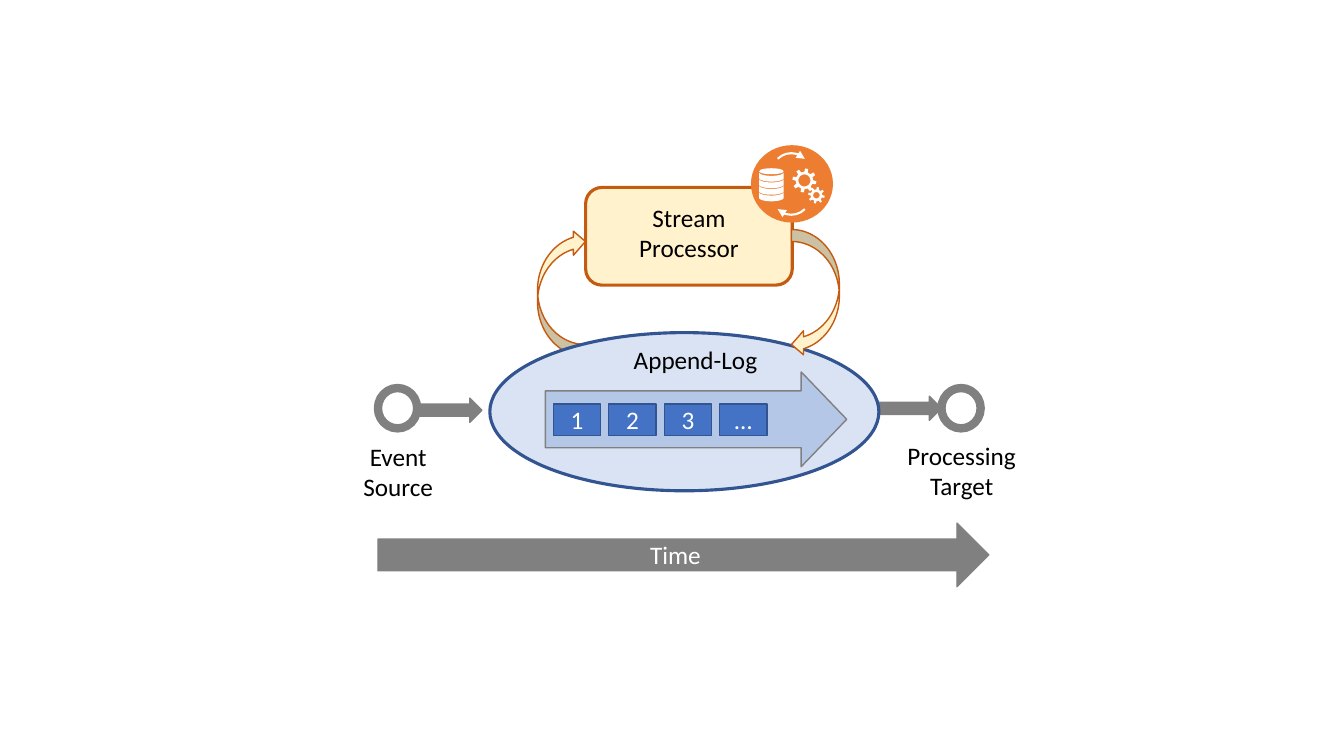
"""Draw a stream processor working on an append-log between a source and a target."""
from dataclasses import dataclass
from math import cos, pi, sin

from lxml import etree
from pptx import Presentation
from pptx.dml.color import RGBColor
from pptx.enum.shapes import MSO_SHAPE
from pptx.enum.text import MSO_ANCHOR, PP_ALIGN
from pptx.oxml.ns import qn
from pptx.util import Pt

ARC = MSO_SHAPE.ARC
BLOCK_ARROW = MSO_SHAPE.RIGHT_ARROW
CURVED_ARROW = MSO_SHAPE.CURVED_DOWN_ARROW
OVAL = MSO_SHAPE.OVAL
RECT = MSO_SHAPE.RECTANGLE
ROUND_RECT = MSO_SHAPE.ROUNDED_RECTANGLE
MIDDLE = MSO_ANCHOR.MIDDLE
CENTER = PP_ALIGN.CENTER
UNITS_PER_POINT = 100


@dataclass(frozen=True)
class Theme:
    """Colours, font and type size of the slide."""
    gray: str = "808080"
    white: str = "FFFFFF"
    black: str = "000000"
    cream: str = "FFF2CC"
    rust: str = "C55A11"
    orange: str = "ED7D31"
    pale_blue: str = "DAE3F3"
    light_blue: str = "B4C7E7"
    blue: str = "4472C4"
    navy: str = "325491"
    font: str = "Calibri"
    size: float = 18


@dataclass(frozen=True)
class Box:
    """Position and size in points."""
    x: float
    y: float
    w: float
    h: float


@dataclass(frozen=True)
class Endpoint:
    """A ring with its flow arrow and label."""
    ring: Box
    arrow: Box
    label: Box
    text: str


@dataclass(frozen=True)
class Gear:
    """Centre and radii of a toothed wheel in points."""
    x: float
    y: float
    outer: float
    root: float
    hole: float


T = Theme()
SOURCE = Endpoint(Box(270, 277.2, 28, 28.8), Box(298.8, 284.4, 45.4, 17.3),
                  Box(241.9, 311.8, 85, 51.1), "Event Source")
TARGET = Endpoint(Box(672.5, 277.2, 28, 28.8), Box(627.1, 283, 45.4, 17.3),
                  Box(635.8, 311, 102.2, 51.1), "Processing Target")
GEARS = (Gear(574.6, 128.9, 8.6, 6.2, 4.3), Gear(583.2, 139.5, 5.9, 4.2, 2.3))
ENTRIES = ("1", "2", "3", "…")


def write(sp, text: str, color: str) -> None:
    """Put centred text into a shape, one paragraph per line."""
    tf = sp.text_frame
    tf.word_wrap = True
    tf.text = text
    for p in tf.paragraphs:
        p.alignment = CENTER
        for r in p.runs:
            r.font.name, r.font.size = T.font, Pt(T.size)
            r.font.color.rgb = RGBColor.from_string(color)


def paint(sp, fill: str | None, line: str | None, width: float) -> None:
    """Set fill and outline and drop the shadow."""
    sp.shadow.inherit = False
    if fill:
        sp.fill.solid()
        sp.fill.fore_color.rgb = RGBColor.from_string(fill)
    else:
        sp.fill.background()
    if line:
        sp.line.color.rgb = RGBColor.from_string(line)
        sp.line.width = Pt(width)
    else:
        sp.line.fill.background()


def add_preset(s, kind, box: Box, *, fill: str | None = None, line: str | None = None,
               width: float = 1, rotation: float = 0, adjust: tuple[float, ...] = (),
               text: str = ""):
    """Add a preset shape with optional white text."""
    sp = s.shapes.add_shape(kind, Pt(box.x), Pt(box.y), Pt(box.w), Pt(box.h))
    paint(sp, fill, line, width)
    sp.rotation = rotation
    for i, value in enumerate(adjust):
        sp.adjustments[i] = value
    if text:
        write(sp, text, T.white)
        sp.text_frame.vertical_anchor = MIDDLE
    return sp


def add_label(s, box: Box, text: str) -> None:
    """Add a black text box."""
    sp = s.shapes.add_textbox(Pt(box.x), Pt(box.y), Pt(box.w), Pt(box.h))
    write(sp, text, T.black)


def add_outline(s, *contours: list[tuple[float, float]]) -> None:
    """Add a white freeform made of closed contours in points."""
    scaled = [[(x * UNITS_PER_POINT, y * UNITS_PER_POINT) for x, y in c] for c in contours]
    builder = s.shapes.build_freeform(*scaled[0][0], scale=Pt(1) / UNITS_PER_POINT)
    for i, points in enumerate(scaled):
        if i:
            builder.move_to(*points[0])
        builder.add_line_segments(points[1:], close=True)
    paint(builder.convert_to_shape(), T.white, None, 0)


def add_gear(s, gear: Gear, teeth: int = 8) -> None:
    """Add a toothed wheel with a round hole."""
    def at(radius: float, turn: float) -> tuple[float, float]:
        """Return the point at a radius and a share of a full turn."""
        return gear.x + radius * cos(2 * pi * turn), gear.y + radius * sin(2 * pi * turn)

    profile = ((-0.27, gear.root), (-0.16, gear.outer), (0.16, gear.outer), (0.27, gear.root))
    rim = [at(radius, (i + shift) / teeth + 0.03)
           for i in range(teeth) for shift, radius in profile]
    add_outline(s, rim, [at(gear.hole, -i / 32) for i in range(32)])


def add_database(s, x: float = 542.2, y: float = 120.2, w: float = 17.6) -> None:
    """Add a cylinder of four curved bands below a lid."""
    add_preset(s, OVAL, Box(x, y, w, 4.3), fill=T.white)
    for band in range(4):
        top = y + 2.9 + 4.7 * band
        arc = [(x + w * (1 - cos(pi * i / 16)) / 2, 2.5 * sin(pi * i / 16)) for i in range(17)]
        add_outline(s, [(px, top + sag) for px, sag in arc]
                    + [(px, top + 4.1 + sag) for px, sag in reversed(arc)])


def add_badge(s) -> None:
    """Add the round processing badge with database, gears and cycle arrows."""
    add_preset(s, OVAL, Box(536.4, 103.7, 58.6, 55.3), fill=T.orange)
    add_database(s)
    for gear in GEARS:
        add_gear(s, gear)
    for y, rotation in ((109.4, 315), (126, 135)):
        sp = add_preset(s, ARC, Box(551.5, y, 27.4, 27.4), line=T.white, width=1.5,
                        rotation=rotation)
        etree.SubElement(sp.line._get_or_add_ln(), qn("a:tailEnd"), type="triangle")


def add_endpoint(s, end: Endpoint) -> None:
    """Add a flow arrow, its ring and its label."""
    add_preset(s, BLOCK_ARROW, end.arrow, fill=T.gray, line=T.gray)
    add_preset(s, OVAL, end.ring, line=T.gray, width=6)
    add_label(s, end.label, end.text)


def add_log(s) -> None:
    """Add the append-log with its numbered entries."""
    add_preset(s, OVAL, Box(349.9, 237.6, 277.9, 113), fill=T.pale_blue, line=T.navy, width=2.25)
    add_preset(s, BLOCK_ARROW, Box(389.5, 265.7, 215.3, 67.7), fill=T.light_blue, line=T.gray,
               adjust=(0.6, 0.48))
    for i, entry in enumerate(ENTRIES):
        add_preset(s, RECT, Box(395.3 + 39.6 * i, 288.7, 33.8, 22.3), fill=T.blue, line=T.navy,
                   text=entry)
    add_label(s, Box(417.6, 242.6, 158.4, 28.8), "Append-Log")


def add_loop_arrow(s, x: float, rotation: float) -> None:
    """Add a curved arrow between the log and the processor."""
    add_preset(s, CURVED_ARROW, Box(x, 192.2, 90.7, 34.2), fill=T.cream, line=T.rust,
               rotation=rotation)


def main() -> None:
    """Build and save the slide."""
    prs = Presentation()
    prs.slide_width, prs.slide_height = Pt(960), Pt(540)
    s = prs.slides.add_slide(prs.slide_layouts[6])
    add_endpoint(s, TARGET)
    add_loop_arrow(s, 355.7, 270)
    add_preset(s, BLOCK_ARROW, Box(270, 373.7, 436.3, 45.4), fill=T.gray, line=T.gray, text="Time")
    add_log(s)
    add_preset(s, ROUND_RECT, Box(418.3, 133.9, 147.6, 69.8), fill=T.cream, line=T.rust, width=2.25)
    add_badge(s)
    add_label(s, Box(424.1, 141.1, 136.1, 51.1), "Stream\nProcessor")
    add_loop_arrow(s, 537.1, 90)
    add_endpoint(s, SOURCE)
    prs.save("out.pptx")


main()
